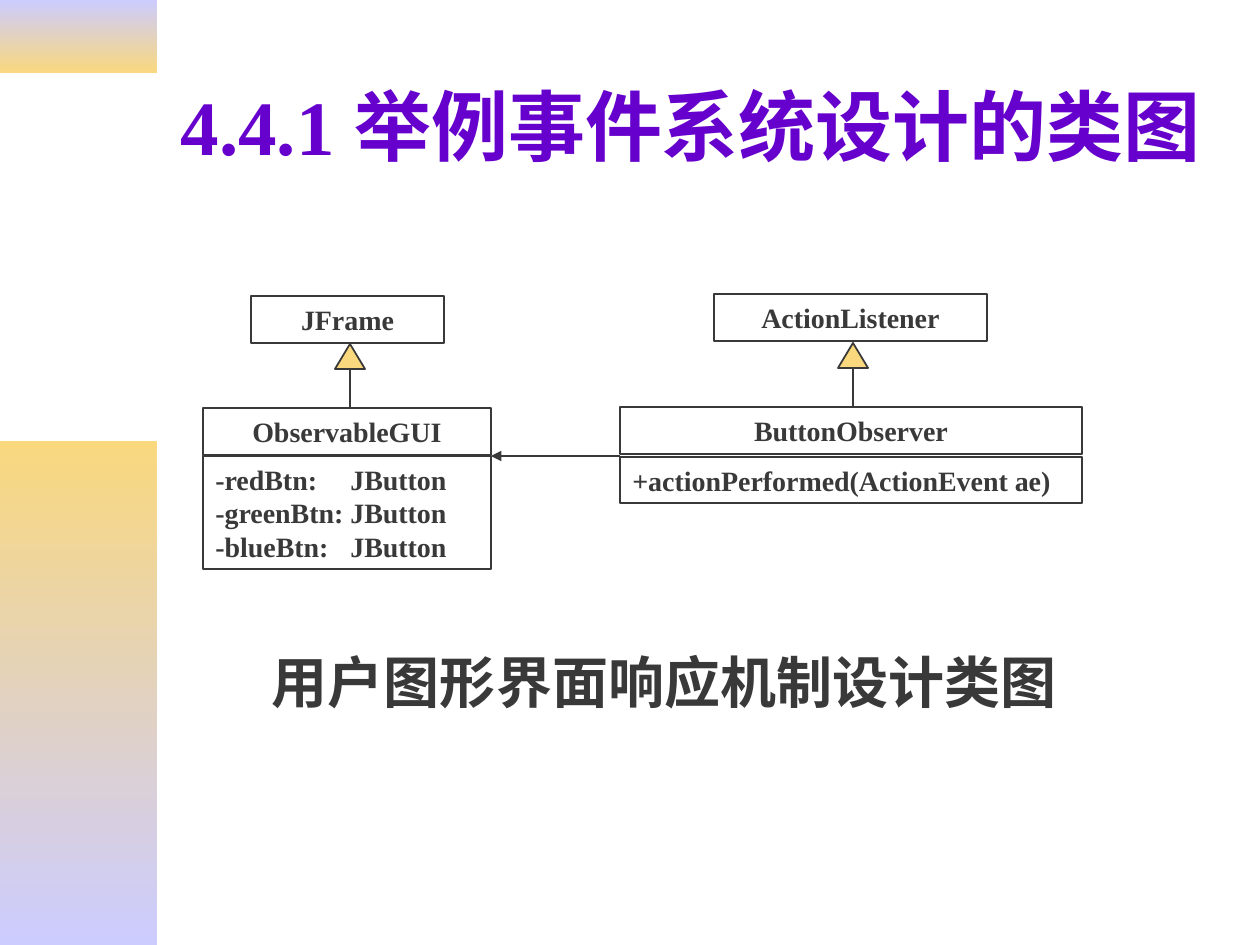
import pptx
import pptx.util
import pptx.dml.color
import pptx.enum.dml
import pptx.enum.shapes
import pptx.enum.text
from dataclasses import dataclass
from lxml import etree

PX = 914400 // 126
DRAWING = "http://schemas.openxmlformats.org/drawingml/2006/main"
Align = pptx.enum.text.PP_ALIGN
Anchor = pptx.enum.text.MSO_ANCHOR
Shape = pptx.enum.shapes.MSO_SHAPE


@dataclass(frozen=True)
class Theme:
    font: str = "Times New Roman"
    ink: str = "393939"
    title: str = "6600CC"
    gold: str = "F9D87E"
    lilac: str = "CCCCFF"
    title_size: int = 44
    caption_size: int = 32
    label_size: int = 16
    line_width: int = 1


theme = Theme()
rgb = pptx.dml.color.RGBColor.from_string


def write(frame, lines, size, color, align, anchor, tab=None):
    """Fill a text frame, one paragraph a line, with an optional tab stop in px."""
    frame.word_wrap = True
    frame.vertical_anchor = anchor
    frame.text = "\n".join(lines)
    for paragraph in frame.paragraphs:
        paragraph.alignment = align
        if tab:
            properties = paragraph._p.get_or_add_pPr()
            tabs = etree.SubElement(properties, f"{{{DRAWING}}}tabLst")
            etree.SubElement(tabs, f"{{{DRAWING}}}tab", pos=str(tab * PX), algn="l")
        paragraph.font.name = theme.font
        paragraph.font.size = pptx.util.Pt(size)
        paragraph.font.bold = True
        paragraph.font.color.rgb = rgb(color)


def add_line(slide, start, end):
    line = slide.shapes.add_connector(
        pptx.enum.shapes.MSO_CONNECTOR.STRAIGHT, *(v * PX for v in start + end))
    line.line.color.rgb = rgb(theme.ink)
    line.line.width = pptx.util.Pt(theme.line_width)
    etree.SubElement(line._element.spPr, f"{{{DRAWING}}}effectLst")
    return line


presentation = pptx.Presentation()
presentation.slide_width = 1260 * PX
presentation.slide_height = 945 * PX
slide = presentation.slides.add_slide(presentation.slide_layouts[5])

# Side bands
for top, height, colors in [
    (0, 73, (theme.lilac, theme.gold)),
    (441, 504, (theme.gold, theme.lilac)),
]:
    band = slide.shapes.add_shape(Shape.RECTANGLE, 0, top * PX, 157 * PX, height * PX)
    band.shadow.inherit = False
    band.line.fill.background()
    band.fill.gradient()
    band.fill.gradient_angle = 270
    for stop, color in zip(band.fill.gradient_stops, colors):
        stop.color.rgb = rgb(color)

# Title and caption
title = slide.shapes.title
title.left, title.top, title.width, title.height = (v * PX for v in (168, 42, 1071, 166))
write(title.text_frame, ["4.4.1 举例事件系统设计的类图"], theme.title_size,
      theme.title, Align.LEFT, Anchor.MIDDLE)
title.text_frame.auto_size = pptx.enum.text.MSO_AUTO_SIZE.NONE

caption = slide.shapes.add_textbox(*(v * PX for v in (129, 641, 1071, 123)))
write(caption.text_frame, ["用户图形界面响应机制设计类图"], theme.caption_size,
      theme.ink, Align.CENTER, Anchor.TOP)

# Class boxes
attributes = ["-redBtn:\tJButton", "-greenBtn:\tJButton", "-blueBtn:\tJButton"]
for bounds, lines, align, tab in [
    ((251, 296, 193, 47), ["JFrame"], Align.CENTER, None),
    ((203, 408, 288, 47), ["ObservableGUI"], Align.CENTER, None),
    ((203, 456, 288, 113), attributes, Align.LEFT, 135),
    ((714, 294, 273, 47), ["ActionListener"], Align.CENTER, None),
    ((620, 407, 462, 47), ["ButtonObserver"], Align.CENTER, None),
    ((620, 457, 462, 46), ["+actionPerformed(ActionEvent ae)"], Align.LEFT, None),
]:
    box = slide.shapes.add_shape(Shape.RECTANGLE, *(v * PX for v in bounds))
    box.shadow.inherit = False
    box.fill.background()
    box.line.color.rgb = rgb(theme.ink)
    box.line.width = pptx.util.Pt(theme.line_width)
    write(box.text_frame, lines, theme.label_size, theme.ink, align, Anchor.TOP, tab)

# Inheritance arrows: a stem topped by a triangle
for center, top in [(350, 344), (853, 343)]:
    add_line(slide, (center, top + 23), (center, top + 63))
    head = slide.shapes.add_shape(
        Shape.ISOSCELES_TRIANGLE, *(v * PX for v in (center - 15, top, 30, 25)))
    head.shadow.inherit = False
    head.fill.solid()
    head.fill.fore_color.rgb = rgb(theme.gold)
    head.line.color.rgb = rgb(theme.ink)
    head.line.width = pptx.util.Pt(theme.line_width)

# Association from the observer to the window
association = add_line(slide, (620, 456), (491, 456))
etree.SubElement(association.line._get_or_add_ln(), f"{{{DRAWING}}}tailEnd", type="triangle")

presentation.save("out.pptx")
